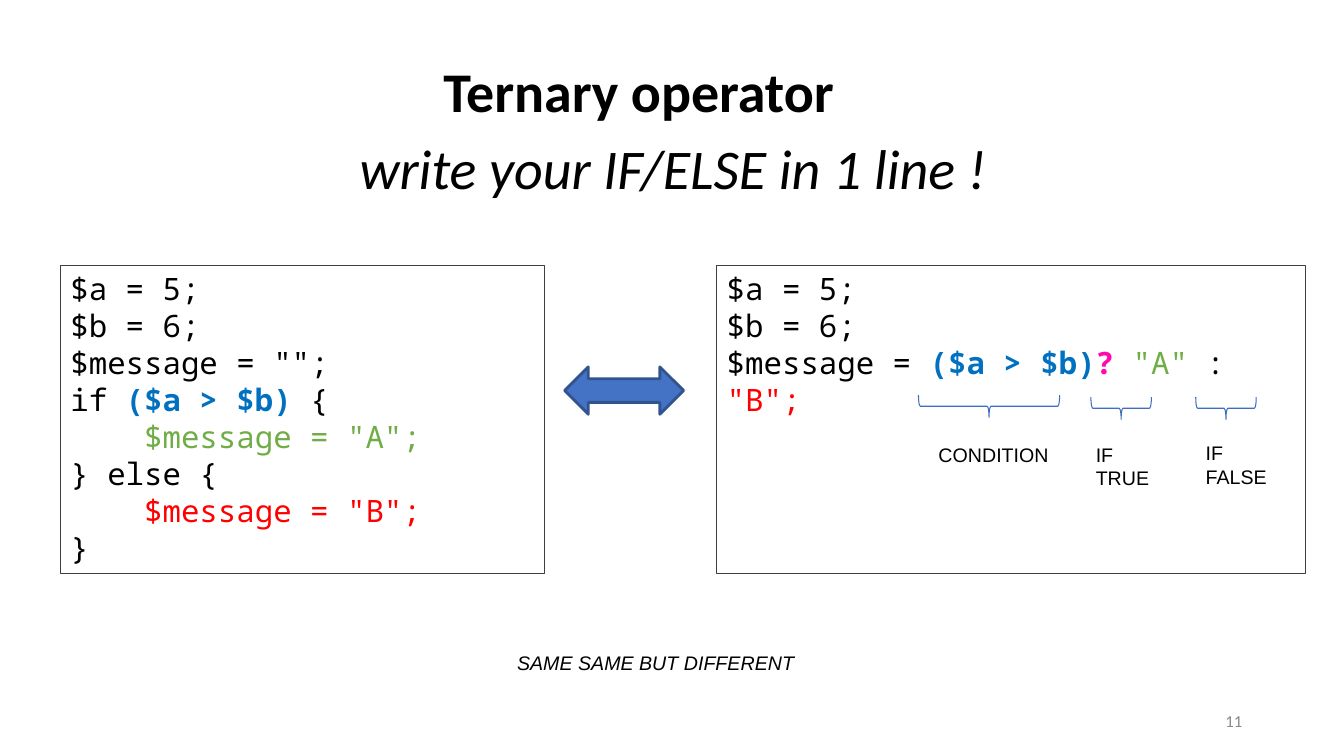
from pptx import Presentation
from pptx.dml.color import RGBColor
from pptx.enum.shapes import MSO_SHAPE
from pptx.enum.text import MSO_ANCHOR, PP_ALIGN
from pptx.util import Inches, Pt

RECT = MSO_SHAPE.RECTANGLE
BRACE = MSO_SHAPE.LEFT_BRACE
ARROW = MSO_SHAPE.LEFT_RIGHT_ARROW
LEFT, CENTER, RIGHT = PP_ALIGN.LEFT, PP_ALIGN.CENTER, PP_ALIGN.RIGHT
TOP, MIDDLE = MSO_ANCHOR.TOP, MSO_ANCHOR.MIDDLE

BLACK, BLUE, GREEN, RED, PINK = "000000", "0070C0", "70AD47", "FF0000", "FF09AD"
BOLD = (BLUE, PINK)


def color(code):
    return RGBColor.from_string(code)


class Deck:
    head, body, mono = "Calibri", "Arial", "Noto Sans Mono"

    def __init__(self):
        self.file = Presentation()
        self.file.slide_width = Inches(13.33)
        self.file.slide_height = Inches(7.5)
        self.slide = self.file.slides.add_slide(self.file.slide_layouts[6])

    def text(self, box, lines, size=14, font=body, ink=BLACK, align=LEFT,
             anchor=TOP, bold=False, italic=False):
        frame = self.slide.shapes.add_textbox(*map(Inches, box)).text_frame
        frame.word_wrap = True
        frame.vertical_anchor = anchor
        for i, line in enumerate(lines):
            para = frame.paragraphs[0] if i == 0 else frame.add_paragraph()
            para.text = line
            para.alignment = align
            para.font.name, para.font.size = font, Pt(size)
            para.font.bold, para.font.italic = bold, italic
            para.font.color.rgb = color(ink)

    def shape(self, kind, box, line, width=0.75, fill=None):
        item = self.slide.shapes.add_shape(kind, *map(Inches, box))
        item.shadow.inherit = False
        if fill:
            item.fill.solid()
            item.fill.fore_color.rgb = color(fill)
        else:
            item.fill.background()
        item.line.color.rgb = color(line)
        item.line.width = Pt(width)
        return item

    def code(self, box, lines):
        """Framed listing; each line is a list of (text, colour) parts."""
        frame = self.shape(RECT, box, "3F3F3F").text_frame
        frame.word_wrap = True
        frame.vertical_anchor = TOP
        for i, line in enumerate(lines):
            para = frame.paragraphs[0] if i == 0 else frame.add_paragraph()
            para.alignment = LEFT
            para.font.name, para.font.size = self.mono, Pt(22)
            for words, ink in line:
                run = para.add_run()
                run.text = words
                run.font.color.rgb = color(ink)
                run.font.bold = ink in BOLD

    def brace(self, mid, top, span, depth=0.22):
        """Brace that opens upward, centred on mid."""
        box = (mid - depth / 2, top + (depth - span) / 2, depth, span)
        item = self.shape(BRACE, box, "3E6EC2")
        item.adjustments[0] = 0.083
        item.rotation = 270


def main():
    deck = Deck()
    deck.text((9.42, 6.95, 3, 0.4), ["11"], 12, deck.head, "888888", RIGHT, MIDDLE)
    deck.text((3, 0.51, 6.67, 0.77), ["Ternary operator"], 40, deck.head,
              align=CENTER, bold=True)
    deck.text((2.43, 1.28, 8.49, 0.77), ["write your IF/ELSE in 1 line !"], 40,
              deck.head, align=CENTER, italic=True)

    setup = [[("$a = 5;", BLACK)], [("$b = 6;", BLACK)]]
    deck.code((0.6, 2.63, 4.8, 3.06), setup + [
        [('$message = "";', BLACK)],
        [("if ", BLACK), ("($a > $b) ", BLUE), ("{", BLACK)],
        [('    $message = "A";', GREEN)],
        [("} else {", BLACK)],
        [('    $message = "B";', RED)],
        [("}", BLACK)],
    ])
    deck.code((7.11, 2.63, 5.84, 3.06), setup + [
        [("$message = ", BLACK), ("($a > $b)", BLUE), ("? ", PINK),
         ('"A" ', GREEN), (": ", BLACK), ('"B";', RED)],
    ])

    deck.text((9.21, 4.34, 1.3, 0.34), ["CONDITION"])
    deck.text((10.77, 4.34, 0.74, 0.57), ["IF", "TRUE"])
    deck.text((11.86, 4.33, 0.82, 0.57), ["IF", "FALSE"])
    for mid, top, span in ((9.81, 3.92, 1.4), (11.12, 3.94, 0.6), (12.16, 3.94, 0.6)):
        deck.brace(mid, top, span)

    deck.shape(ARROW, (5.6, 3.64, 1.18, 0.47), "31538F", 2, "4472C4")
    deck.text((5.03, 6.41, 2.97, 0.34), ["SAME SAME BUT DIFFERENT"], italic=True)
    deck.file.save("out.pptx")


if __name__ == "__main__":
    main()
